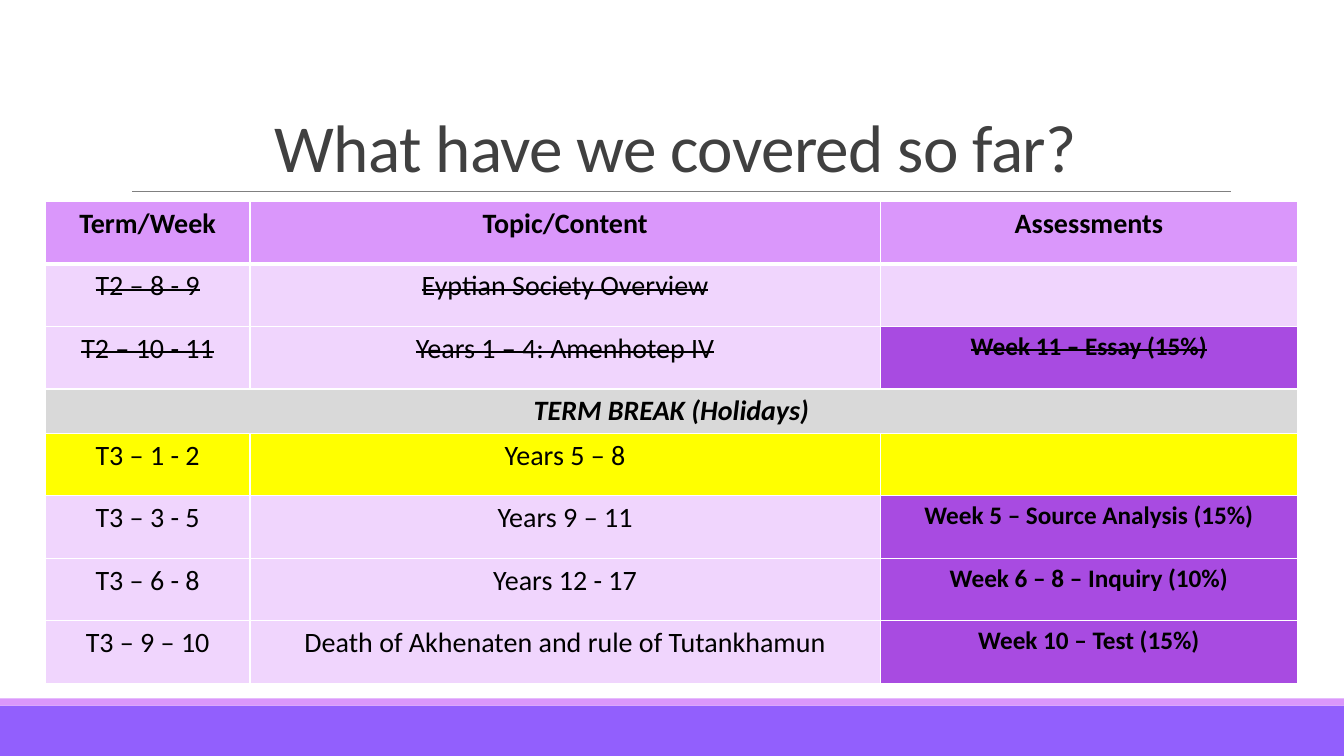
from lxml.etree import SubElement
from pptx import Presentation
from pptx.dml.color import RGBColor
from pptx.enum.shapes import MSO_CONNECTOR, MSO_SHAPE
from pptx.enum.text import MSO_ANCHOR, MSO_AUTO_SIZE, PP_ALIGN
from pptx.oxml.ns import qn
from pptx.util import Pt

SCALE = 9144  # EMU in one px, 100 px to the inch
FONT = "Calibri"
HUES = {
    "band": "925FFD", "head": "DA97FB", "plain": "F0D5FD", "test": "A84BE1",
    "rest": "D9D9D9", "now": "FFFF00", "rule": "808080", "title": "404040",
    "ink": "000000", "edge": "FFFFFF",
}
COLS = (203, 625, 414)
TALL, SHORT = 62, 44

# Each row: kind, then term, topic and assessment
ROWS = (
    ("head", "Term/Week", "Topic/Content", "Assessments"),
    ("done", "T2 – 8 - 9", "Eyptian Society Overview", ""),
    ("done", "T2 – 10 - 11", "Years 1 – 4: Amenhotep IV", "Week 11 – Essay (15%)"),
    ("rest", "TERM BREAK (Holidays)", "", ""),
    ("now", "T3 – 1 - 2", "Years 5 – 8", ""),
    ("plain", "T3 – 3 - 5", "Years 9 – 11", "Week 5 – Source Analysis (15%)"),
    ("plain", "T3 – 6 - 8", "Years 12 - 17", "Week 6 – 8 – Inquiry (10%)"),
    ("plain", "T3 – 9 – 10", "Death of Akhenaten and rule of Tutankhamun",
     "Week 10 – Test (15%)"),
)


def px(*nums):
    return [num * SCALE for num in nums]


def hue(name):
    return RGBColor.from_string(HUES[name])


def paint(item, name):
    item.fill.solid()
    item.fill.fore_color.rgb = hue(name)


def put_text(frame, text, size=20, color="ink", bold=False, italic=False,
             strike=False, track=0, lead=None):
    para = frame.paragraphs[0]
    para.alignment = PP_ALIGN.CENTER
    para.line_spacing = lead
    run = para.add_run()
    run.text = text
    font = run.font
    font.name, font.size = FONT, Pt(size)
    font.bold, font.italic = bold, italic
    font.color.rgb = hue(color)
    props = font._element
    if strike:
        props.set("strike", "sngStrike")
    if track:
        props.set("spc", str(track))


def add_band(slide, top, high, name):
    band = slide.shapes.add_shape(MSO_SHAPE.RECTANGLE, *px(0, top, 1333, high))
    band.shadow.inherit = False
    band.line.fill.background()
    paint(band, name)


def add_rule(slide, left, right, y):
    rule = slide.shapes.add_connector(MSO_CONNECTOR.STRAIGHT, *px(left, y, right, y))
    rule.line.color.rgb = hue("rule")
    rule.line.width = Pt(0.5)
    SubElement(rule._element.spPr, qn("a:effectLst"))


def add_title(slide, text):
    title = slide.shapes.title
    title.left, title.top, title.width, title.height = px(120, 31, 1100, 159)
    frame = title.text_frame
    frame.word_wrap = True
    frame.auto_size = MSO_AUTO_SIZE.NONE
    frame.vertical_anchor = MSO_ANCHOR.BOTTOM
    put_text(frame, text, size=48, color="title", track=-50, lead=0.85)


def edge(cell, **widths):
    props = cell._tc.get_or_add_tcPr()
    for side in "LRTB":
        line = SubElement(props, qn(f"a:ln{side}"), w=str(Pt(widths.get(side, 1))))
        fill = SubElement(line, qn("a:solidFill"))
        SubElement(fill, qn("a:srgbClr"), val=HUES["edge"])


def fill_cell(cell, kind, col, text):
    test = col == 2 and text and kind != "head"
    paint(cell, "test" if test else "plain" if kind == "done" else kind)
    if text:
        put_text(cell.text_frame, text, size=18 if test else 20,
                 bold=bool(test) or kind in ("head", "rest"),
                 italic=kind == "rest", strike=kind == "done")


def add_plan(slide):
    highs = [SHORT if row[0] == "rest" else TALL for row in ROWS]
    table = slide.shapes.add_table(
        len(ROWS), len(COLS), *px(45, 200, sum(COLS), sum(highs))).table
    for col, wide in zip(table.columns, COLS):
        col.width = wide * SCALE
    for y, (kind, *texts) in enumerate(ROWS):
        table.rows[y].height = highs[y] * SCALE
        for x, text in enumerate(texts):
            cell = table.cell(y, x)
            edge(cell, T=3 if y == 1 else 1, B=3 if y == 0 else 1)
            fill_cell(cell, kind, x, text)
        if kind == "rest":
            table.cell(y, 0).merge(table.cell(y, len(COLS) - 1))


def main():
    deck = Presentation()
    deck.slide_width, deck.slide_height = px(1333, 750)
    slide = deck.slides.add_slide(deck.slide_layouts[5])
    # Footer bands and title rule
    add_band(slide, 700, 50, "band")
    add_band(slide, 693, 7, "head")
    add_rule(slide, 131, 1221, 190)
    # Title and term plan
    add_title(slide, "What have we covered so far?")
    add_plan(slide)
    deck.save("out.pptx")


if __name__ == "__main__":
    main()
